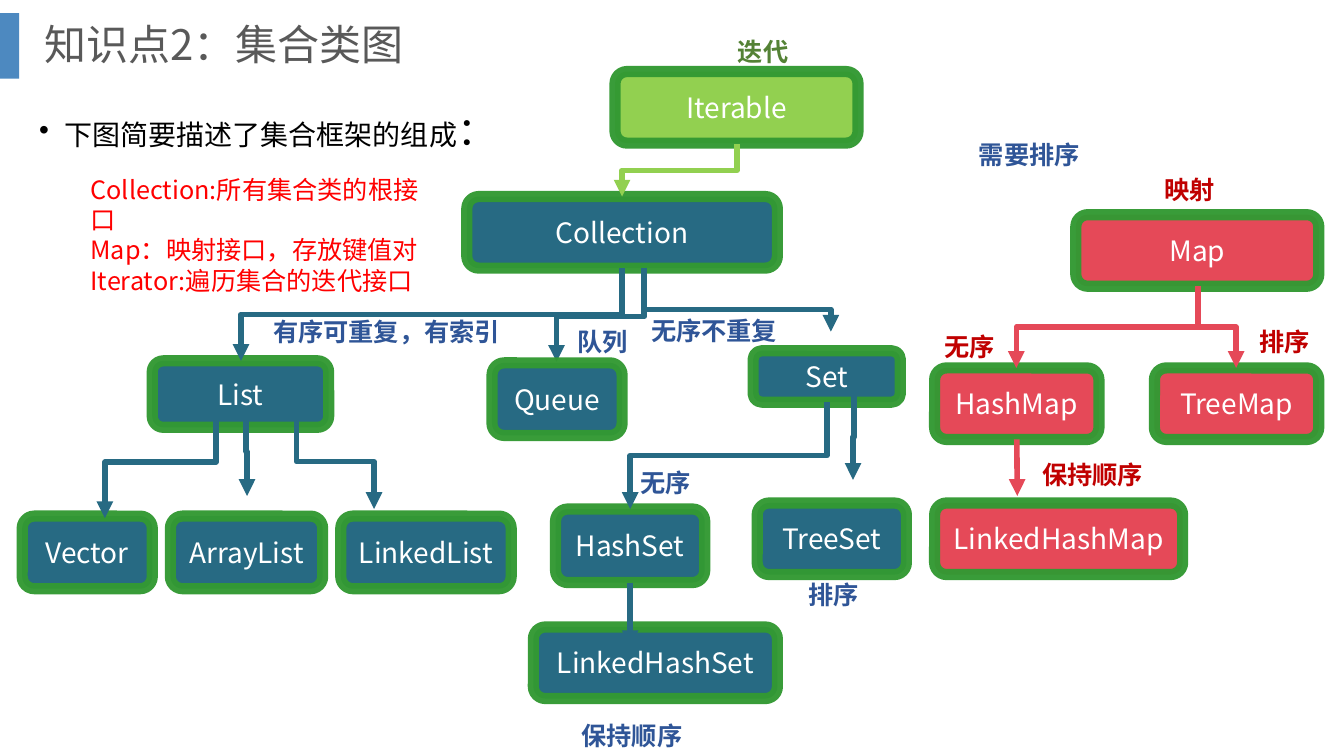
from dataclasses import dataclass

from lxml import etree
from pptx import Presentation
from pptx.dml.color import RGBColor
from pptx.enum.shapes import MSO_CONNECTOR, MSO_SHAPE
from pptx.enum.text import MSO_ANCHOR, PP_ALIGN
from pptx.oxml.ns import qn
from pptx.util import Pt

PX = 9144  # EMU per px, 100 px to the inch
FONT = "Noto Sans CJK SC"
RECT, ROUND = MSO_SHAPE.RECTANGLE, MSO_SHAPE.ROUNDED_RECTANGLE
ELBOW, STRAIGHT = MSO_CONNECTOR.ELBOW, MSO_CONNECTOR.STRAIGHT
MIDDLE, CENTER = MSO_ANCHOR.MIDDLE, PP_ALIGN.CENTER

WHITE = RGBColor(0xFF, 0xFF, 0xFF)
BLACK = RGBColor(0x00, 0x00, 0x00)
GRAY = RGBColor(0x59, 0x59, 0x59)
BLUE = RGBColor(0x2E, 0x75, 0xB6)
NAVY = RGBColor(0x2F, 0x55, 0x97)
TEAL = RGBColor(0x27, 0x6A, 0x83)
LIME = RGBColor(0x92, 0xD0, 0x50)
GREEN = RGBColor(0x33, 0x99, 0x33)
OLIVE = RGBColor(0x54, 0x82, 0x35)
ROSE = RGBColor(0xE5, 0x49, 0x58)
CRIMSON = RGBColor(0xC0, 0x00, 0x00)
RED = RGBColor(0xFF, 0x00, 0x00)


@dataclass
class Box:
    name: str
    x: int
    y: int
    w: int
    h: int = 71
    fill: RGBColor = TEAL


@dataclass
class Arrow:
    x1: int
    y1: int
    x2: int
    y2: int
    color: RGBColor = TEAL
    bend: float = 0.5
    start: str = ""  # box joined at its bottom; makes the arrow straight


@dataclass
class Label:
    text: str
    x: int
    y: int
    w: int = 177
    color: RGBColor = NAVY


BOXES = [
    Box("Iterable", 610, 71, 241, fill=LIME),
    Box("Map", 1067, 213, 241, fill=ROSE),
    Box("HashMap", 927, 365, 163, fill=ROSE),
    Box("TreeMap", 1145, 365, 163, fill=ROSE),
    Box("LinkedHashMap", 927, 499, 246, fill=ROSE),
    Box("Collection", 463, 195, 308),
    Box("Set", 747, 348, 146, 51),
    Box("List", 151, 358, 175, 66),
    Box("HashSet", 551, 505, 148, 73),
    Box("TreeSet", 751, 499, 148),
    Box("LinkedHashSet", 529, 622, 242),
    Box("ArrayList", 169, 512, 151, 72),
    Box("LinkedList", 338, 512, 169, 72),
    Box("Vector", 22, 512, 129, 72),
]
QUEUE = Box("Queue", 488, 360, 129, 72)  # lies over its arrow tip

ARROWS = [
    Arrow(639, 266, 824, 329, bend=0.65),
    Arrow(617, 266, 239, 358),
    Arrow(820, 399, 625, 505),
    Arrow(847, 391, 846, 476),
    Arrow(625, 578, 625, 642, start="HashSet"),
    Arrow(731, 143, 617, 195, LIME),
    Arrow(1188, 284, 1008, 365, ROSE),
    Arrow(1188, 284, 1226, 365, ROSE),
    Arrow(1008, 436, 1009, 492, ROSE, start="HashMap"),
    Arrow(244, 404, 245, 492),
    Arrow(214, 403, 104, 514),
    Arrow(294, 411, 371, 505),
    Arrow(639, 269, 552, 359),
]

LABELS = [
    Label("迭代", 722, 31, color=OLIVE),
    Label("无序", 927, 324, color=CRIMSON),
    Label("排序", 1239, 319, 76, CRIMSON),
    Label("保持顺序", 1024, 451, color=CRIMSON),
    Label("映射", 1145, 168, color=CRIMSON),
    Label("无序不重复", 636, 308, 173),
    Label("有序可重复，有索引", 261, 309, 290),
    Label("无序", 625, 459),
    Label("需要排序", 961, 133),
    Label("保持顺序", 567, 710),
    Label("排序", 792, 570),
    Label("队列", 563, 319, 173),
]


def style(run, size: int, color: RGBColor, bold: bool = False) -> None:
    run.font.size, run.font.bold = Pt(size), bold
    run.font.color.rgb = color
    run.font.name = FONT
    etree.SubElement(run.font._element, qn("a:ea"), typeface=FONT)


def fade(part, percent: int) -> None:
    tone = next(part.iter(qn("a:srgbClr")))
    etree.SubElement(tone, qn("a:alpha"), val=str(percent * 1000))


def add_text(slide, text: str, x: int, y: int, w: int, h: int,
             size: int, color: RGBColor, bold: bool = False):
    frame = slide.shapes.add_textbox(x * PX, y * PX, w * PX, h * PX).text_frame
    frame.word_wrap = True
    frame.text = text
    for para in frame.paragraphs:
        style(para.runs[0], size, color, bold)
    return frame


def add_box(slide, box: Box):
    shape = slide.shapes.add_shape(ROUND, box.x * PX, box.y * PX, box.w * PX, box.h * PX)
    shape.shadow.inherit = False
    shape.fill.solid()
    shape.fill.fore_color.rgb = box.fill
    shape.line.color.rgb = GREEN
    shape.line.width = Pt(8)
    fade(shape._element.spPr.find(qn("a:ln")), 96)
    frame = shape.text_frame
    frame.text = box.name
    frame.vertical_anchor = MIDDLE
    frame.paragraphs[0].alignment = CENTER
    style(frame.paragraphs[0].runs[0], 20, WHITE)
    return shape


def add_arrow(slide, arrow: Arrow, nodes: dict) -> None:
    x1, y1, x2, y2 = (v * PX for v in (arrow.x1, arrow.y1, arrow.x2, arrow.y2))
    if arrow.start:
        line = slide.shapes.add_connector(STRAIGHT, x1, y1, x2, y2)
        line.begin_connect(nodes[arrow.start], 2)
    else:
        # An elbow that leaves downwards is a quarter turn of a level one
        cx, cy = (x1 + x2) // 2, (y1 + y2) // 2
        dx, dy = (x1 - x2) // 2, (y2 - y1) // 2
        line = slide.shapes.add_connector(ELBOW, cx - dy, cy - dx, cx + dy, cy + dx)
        line._element.spPr.find(qn("a:xfrm")).set("rot", "5400000")
        guides = next(line._element.iter(qn("a:avLst")))
        etree.SubElement(guides, qn("a:gd"), name="adj1", fmla=f"val {round(arrow.bend * 100000)}")
    line.line.color.rgb = arrow.color
    line.line.width = Pt(4)
    props = line._element.spPr
    etree.SubElement(props.find(qn("a:ln")), qn("a:tailEnd"), type="triangle")
    etree.SubElement(props, qn("a:effectLst"))


def main() -> None:
    deck = Presentation()
    deck.slide_width, deck.slide_height = 1333 * PX, 750 * PX
    slide = deck.slides.add_slide(deck.slide_layouts[6])

    # Heading with its side bar
    bar = slide.shapes.add_shape(RECT, 0, 13 * PX, 19 * PX, 65 * PX)
    bar.shadow.inherit = False
    bar.fill.solid()
    bar.fill.fore_color.rgb = BLUE
    fade(bar._element.spPr, 85)
    bar.line.fill.background()
    title = add_text(slide, "知识点2：集合类图", 34, 0, 1266, 93, 30, GRAY)
    title.vertical_anchor = MIDDLE
    title.paragraphs[0].line_spacing = 0.9

    # Bulleted lead sentence
    lead = add_text(slide, "下图简要描述了集合框架的组成", 29, 77, 1290, 596, 20, BLACK).paragraphs[0]
    colon = lead.add_run()
    colon.text = "："
    style(colon, 28, BLACK)
    lead.line_spacing, lead.space_before = 1.5, Pt(10)
    props = lead._p.get_or_add_pPr()
    props.set("marL", str(25 * PX))
    props.set("indent", str(-25 * PX))
    etree.SubElement(props, qn("a:buFont"), typeface="Arial")
    etree.SubElement(props, qn("a:buChar"), char="•")

    # Class tree
    nodes = {box.name: add_box(slide, box) for box in BOXES}
    for arrow in ARROWS:
        add_arrow(slide, arrow, nodes)
    add_box(slide, QUEUE)

    # Labels and notes on the interfaces
    for label in LABELS:
        add_text(slide, label.text, label.x, label.y, label.w, 40, 18, label.color, True)
    add_text(slide, "Collection:所有集合类的根接口\nMap：映射接口，存放键值对\nIterator:遍历集合的迭代接口",
             80, 168, 367, 101, 18, RED)

    deck.save("out.pptx")


if __name__ == "__main__":
    main()
